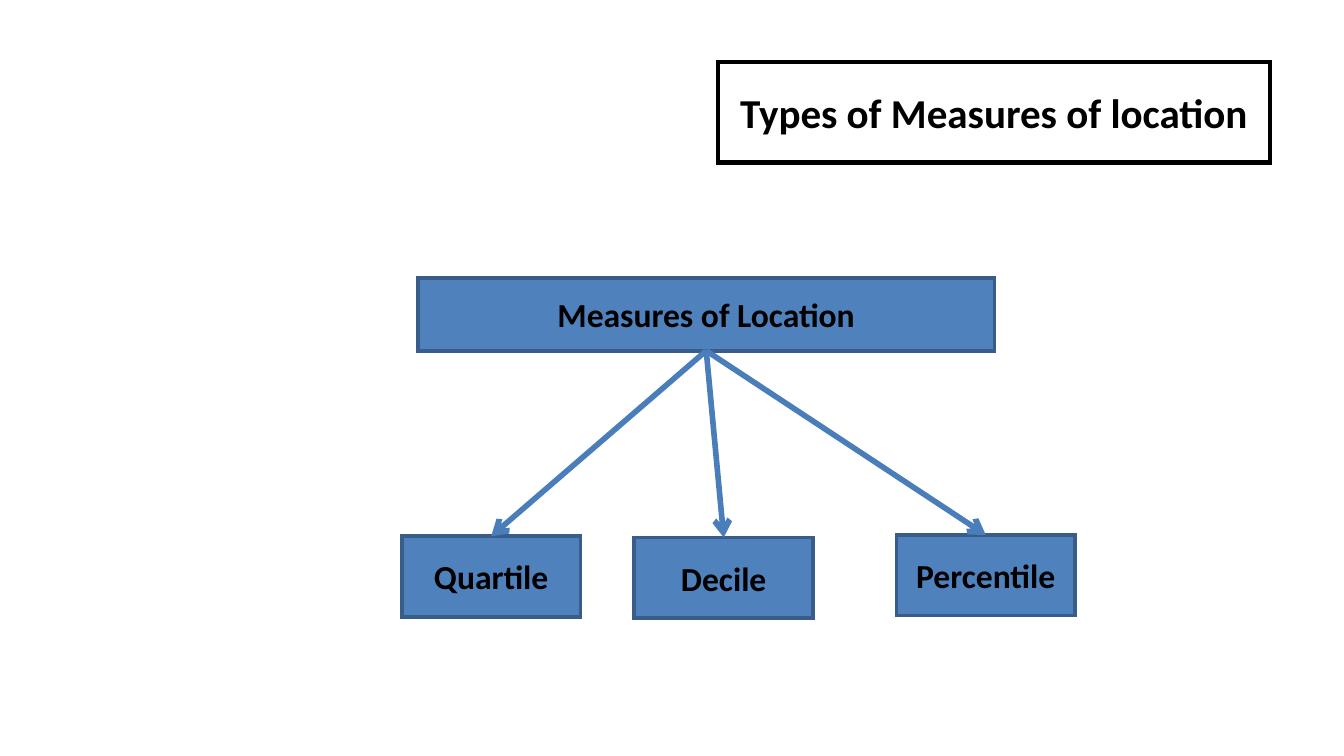
import pptx
import pptx.util
import pptx.dml.color
import pptx.enum.shapes
import pptx.enum.text
import pptx.oxml.ns
import lxml.etree

Inches = pptx.util.Inches
qn = pptx.oxml.ns.qn


def color(hex_string):
    return pptx.dml.color.RGBColor.from_string(hex_string)


def place(shape, box):
    shape.left, shape.top, shape.width, shape.height = (Inches(v) for v in box)


def set_line(shape, hex_string, width):
    shape.line.color.rgb = color(hex_string)
    shape.line.width = pptx.util.Pt(width)
    outline = shape._element.spPr.find(qn("a:ln"))
    lxml.etree.SubElement(outline, qn("a:miter"), lim="800000")
    return outline


def write_label(shape, label, size):
    frame = shape.text_frame
    frame.word_wrap = True
    frame.auto_size = pptx.enum.text.MSO_AUTO_SIZE.NONE
    frame.vertical_anchor = pptx.enum.text.MSO_ANCHOR.MIDDLE
    paragraph = frame.paragraphs[0]
    paragraph.alignment = pptx.enum.text.PP_ALIGN.CENTER
    run = paragraph.add_run()
    run.text = label
    run.font.name = "Calibri"
    run.font.size = pptx.util.Pt(size)
    run.font.bold = True
    run.font.color.rgb = color("000000")


def add_title(slide, box):
    title = slide.shapes.title
    place(title, box)
    set_line(title, "000000", 2.25)
    write_label(title, "Types of Measures of location", 22)


def add_node(slide, label, box):
    node = slide.shapes.add_shape(
        pptx.enum.shapes.MSO_SHAPE.RECTANGLE, *(Inches(v) for v in box))
    node.shadow.inherit = False
    node.fill.solid()
    node.fill.fore_color.rgb = color("4F81BD")
    set_line(node, "385D8A", 2)
    write_label(node, label, 18)
    return node


def add_arrow(slide, parent, child):
    arrow = slide.shapes.add_connector(
        pptx.enum.shapes.MSO_CONNECTOR.STRAIGHT, 0, 0, 0, 0)
    arrow.begin_connect(parent, 2)
    arrow.end_connect(child, 0)
    outline = set_line(arrow, "4A7EBB", 3)
    lxml.etree.SubElement(outline, qn("a:tailEnd"), type="arrow")
    lxml.etree.SubElement(arrow._element.spPr, qn("a:effectLst"))


def add_hierarchy(slide, box):
    left, top, width, height = box
    root = add_node(slide, "Measures of Location",
                    (left + 0.12, top, 4.29, 0.54))
    child_width, child_height = 1.33, 0.6
    child_top = top + height - child_height
    measures = [("Quartile", 0, -0.01), ("Decile", 1.73, 0),
                ("Percentile", width - child_width, -0.02)]
    children = [
        add_node(slide, label,
                 (left + offset, child_top + shift, child_width, child_height))
        for label, offset, shift in measures]
    for child in children:
        add_arrow(slide, root, child)


def main():
    deck = pptx.Presentation()
    deck.slide_width = Inches(10)
    deck.slide_height = deck.slide_width * 9 // 16
    slide = deck.slides.add_slide(deck.slide_layouts.get_by_name("Title Only"))
    add_title(slide, (5.34, 0.46, 4.11, 0.75))
    add_hierarchy(slide, (2.99, 2.07, 5.01, 2.53))
    deck.save("out.pptx")


if __name__ == "__main__":
    main()
